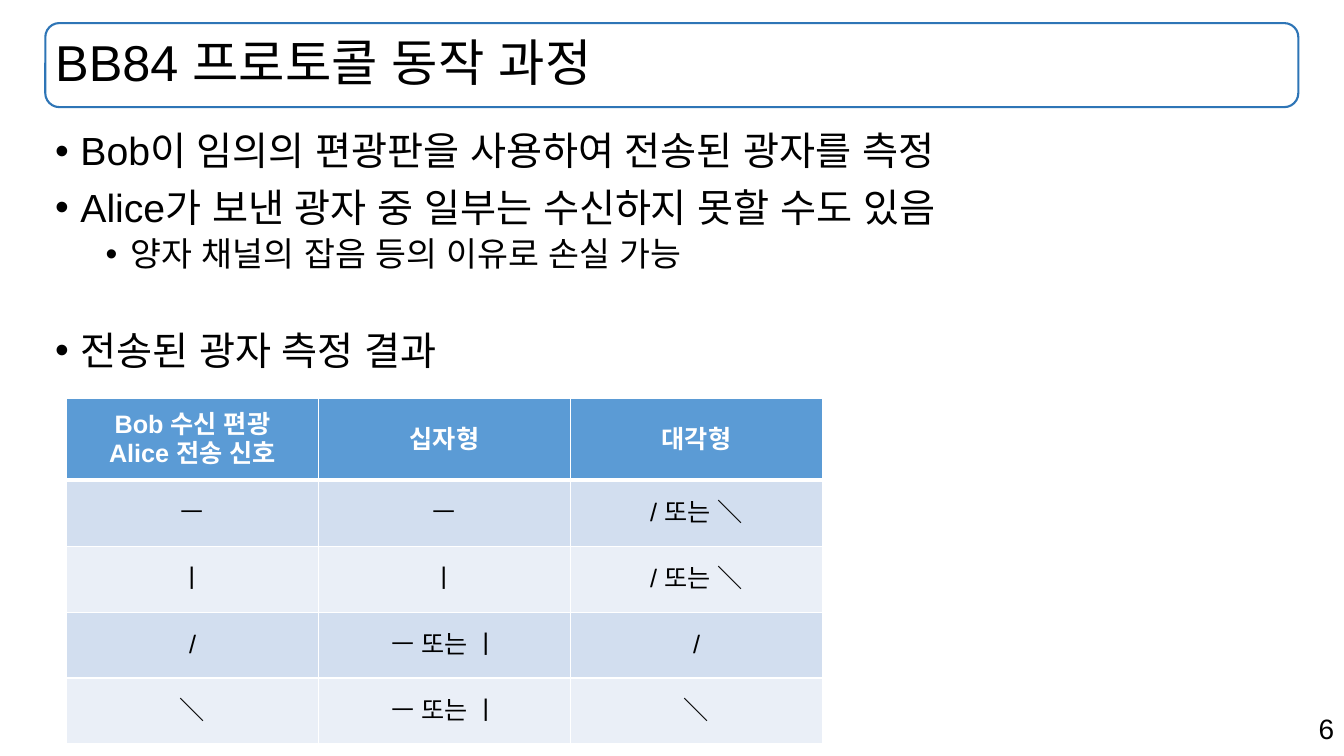
from dataclasses import dataclass

from lxml import etree
from pptx import Presentation
from pptx.dml.color import RGBColor
from pptx.enum import shapes, text
from pptx.oxml import ns
from pptx.util import Pt


@dataclass(frozen=True)
class Theme:
    font: str = "Arial"
    ink: str = "000000"
    paper: str = "FFFFFF"
    frame: str = "2E75B6"
    header: str = "5B9BD5"
    bands: tuple = ("D2DEEF", "EAEFF7")
    title_size: int = 36
    level_sizes: tuple = (28, 24)
    table_size: int = 18
    number_size: int = 20


THEME = Theme()

BULLETS = [
    (0, 0, "Bob이 임의의 편광판을 사용하여 전송된 광자를 측정"),
    (0, 10, "Alice가 보낸 광자 중 일부는 수신하지 못할 수도 있음"),
    (1, 5, "양자 채널의 잡음 등의 이유로 손실 가능"),
    (0, 41, "전송된 광자 측정 결과"),
]

MEASUREMENTS = [
    ("Bob 수신 편광\nAlice 전송 신호", "십자형", "대각형"),
    ("ㅡ", "ㅡ", "/ 또는 ＼"),
    ("ㅣ", "ㅣ", "/ 또는 ＼"),
    ("/", "ㅡ 또는 ㅣ", "/"),
    ("＼", "ㅡ 또는 ㅣ", "＼"),
]


def style_font(para, size, color=THEME.ink, bold=False):
    para.font.name = THEME.font
    para.font.size = Pt(size)
    para.font.bold = bold
    para.font.color.rgb = RGBColor.from_string(color)
    defaults = para._p.pPr.find(ns.qn("a:defRPr"))
    etree.SubElement(defaults, ns.qn("a:ea"), typeface=THEME.font)


def add_text_frame(page, left, top, width, height):
    box = page.shapes.add_textbox(Pt(left), Pt(top), Pt(width), Pt(height))
    box.text_frame.word_wrap = True
    return box.text_frame


def add_title(page, left, top, width, height):
    border = page.shapes.add_shape(
        shapes.MSO_SHAPE.ROUNDED_RECTANGLE, Pt(left), Pt(top), Pt(width), Pt(height)
    )
    border.shadow.inherit = False
    border.fill.background()
    border.line.color.rgb = RGBColor.from_string(THEME.frame)
    border.line.width = Pt(1.5)
    frame = add_text_frame(page, left, top, width, height)
    frame.vertical_anchor = text.MSO_ANCHOR.MIDDLE
    para = frame.paragraphs[0]
    para.text = "BB84 프로토콜 동작 과정"
    para.line_spacing = 0.9
    style_font(para, THEME.title_size)


def add_bullets(page, left, top, width, height):
    frame = add_text_frame(page, left, top, width, height)
    for index, (level, gap, line) in enumerate(BULLETS):
        para = frame.add_paragraph() if index else frame.paragraphs[0]
        para.text = line
        para.level = level
        para.line_spacing = 0.9
        para.space_before = Pt(gap)
        properties = para._p.get_or_add_pPr()
        properties.set("marL", str(Pt(18 + 36 * level)))
        properties.set("indent", str(Pt(-18)))
        etree.SubElement(properties, ns.qn("a:buFont"), typeface=THEME.font)
        etree.SubElement(properties, ns.qn("a:buChar"), char="•")
        style_font(para, THEME.level_sizes[level])


def add_borders(cell, widths):
    properties = cell._tc.get_or_add_tcPr()
    for side, width in zip("LRTB", widths):
        line = etree.SubElement(properties, ns.qn(f"a:ln{side}"), w=str(Pt(width)))
        fill = etree.SubElement(line, ns.qn("a:solidFill"))
        etree.SubElement(fill, ns.qn("a:srgbClr"), val=THEME.paper)


def add_measurements(page, left, top, width, height, header_height):
    grid = page.shapes.add_table(
        len(MEASUREMENTS), len(MEASUREMENTS[0]), Pt(left), Pt(top), Pt(width), Pt(height)
    ).table
    body_height = (height - header_height) / (len(MEASUREMENTS) - 1)
    for row, entries in enumerate(MEASUREMENTS):
        heading = row == 0
        grid.rows[row].height = Pt(header_height if heading else body_height)
        fill = THEME.header if heading else THEME.bands[(row - 1) % 2]
        ink = THEME.paper if heading else THEME.ink
        widths = (1, 1, 3 if row == 1 else 1, 3 if heading else 1)
        for column, entry in enumerate(entries):
            cell = grid.cell(row, column)
            cell.text = entry
            cell.vertical_anchor = text.MSO_ANCHOR.MIDDLE
            add_borders(cell, widths)
            cell.fill.solid()
            cell.fill.fore_color.rgb = RGBColor.from_string(fill)
            for para in cell.text_frame.paragraphs:
                para.alignment = text.PP_ALIGN.CENTER
                style_font(para, THEME.table_size, ink, heading)


def add_page_number(page, left, top, width, height):
    para = add_text_frame(page, left, top, width, height).paragraphs[0]
    para.text = "6"
    para.alignment = text.PP_ALIGN.RIGHT
    style_font(para, THEME.number_size)


def main():
    deck = Presentation()
    deck.slide_width, deck.slide_height = Pt(960), Pt(540)
    page = deck.slides.add_slide(deck.slide_layouts[6])
    add_page_number(page, 679, 504.7, 281, 31.5)
    add_title(page, 32.4, 16.5, 895, 60)
    add_bullets(page, 32.4, 90.7, 895, 441)
    add_measurements(page, 47.5, 284.5, 540, 247, 58.5)
    deck.save("out.pptx")


if __name__ == "__main__":
    main()
